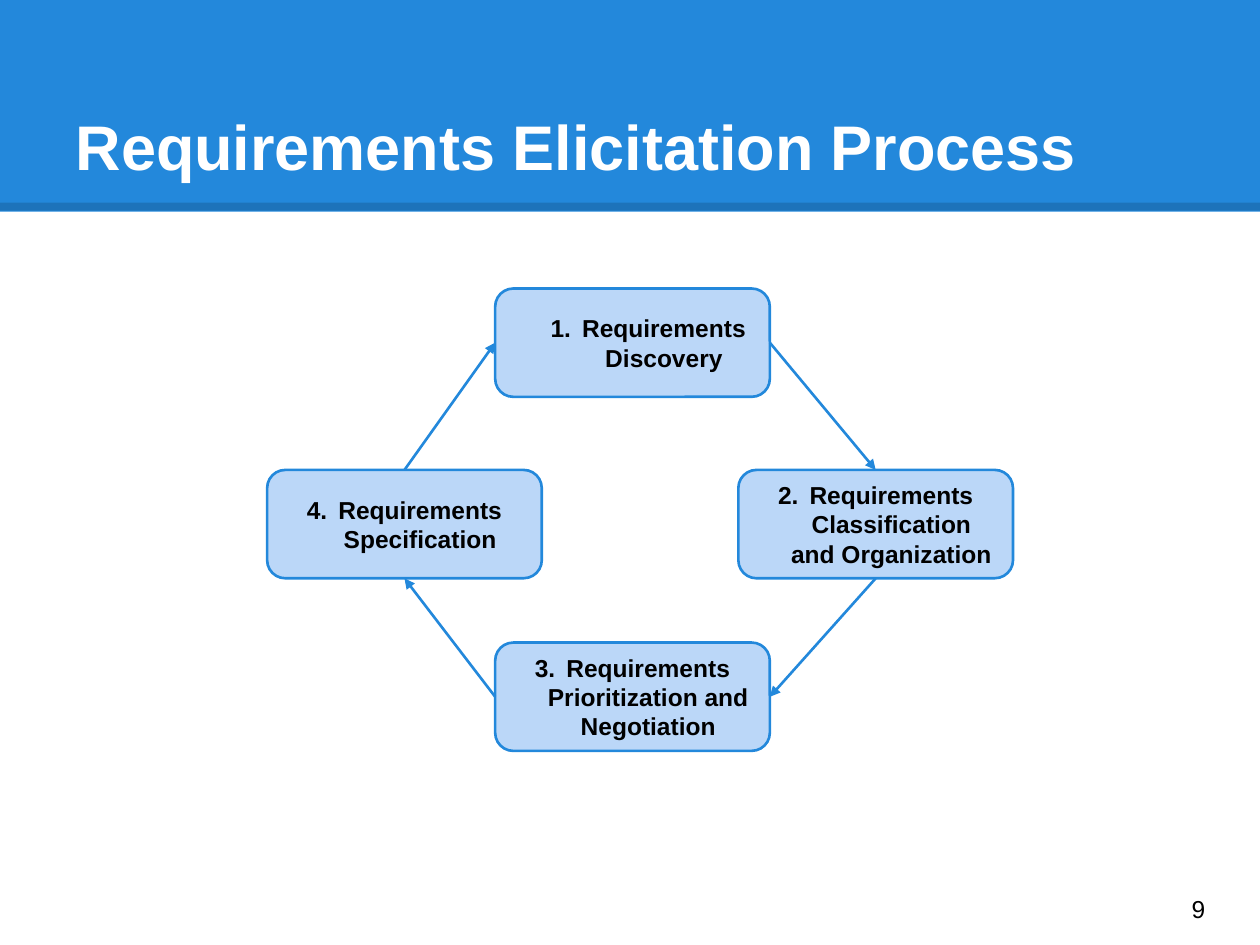
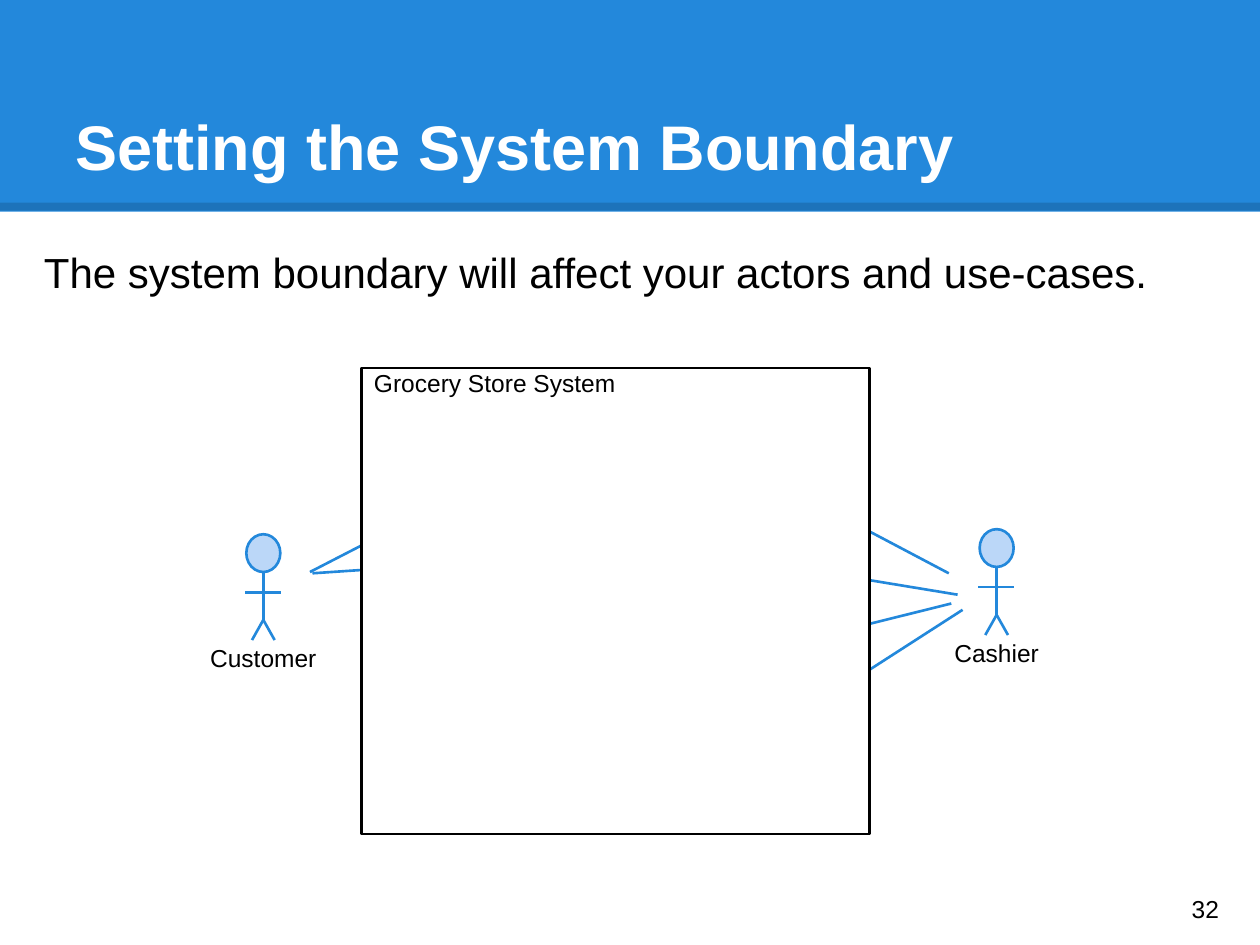
from dataclasses import dataclass

from lxml.etree import SubElement
from pptx import Presentation
from pptx.dml.color import RGBColor
from pptx.enum.shapes import MSO_CONNECTOR, MSO_SHAPE
from pptx.enum.text import MSO_ANCHOR, MSO_AUTO_SIZE, PP_ALIGN
from pptx.oxml.ns import qn
from pptx.util import Emu, Inches, Pt

COLORS = {
    "band": "2388DB",
    "accent": "2388DB",
    "pale": "BBD7F8",
    "ink": "000000",
    "paper": "FFFFFF",
}
FONT = "Arial"
LINE_WIDTH = 1.5
TITLE_ONLY = 5

SLIDE_WIDTH, SLIDE_HEIGHT = Inches(10), Inches(7.5)
COLUMNS, ROWS = 100, 75

TOP, LEFT, BOTTOM, RIGHT = range(4)  # connection sites of a rounded rectangle


@dataclass(frozen=True)
class Area:
    """A place on the slide, in grid columns and rows."""
    left: float
    top: float
    width: float
    height: float

    def lengths(self) -> tuple:
        return (column(self.left), row(self.top), column(self.width), row(self.height))


@dataclass(frozen=True)
class Step:
    text: str
    left: float
    top: float
    indent: float = 0.25


@dataclass(frozen=True)
class Link:
    """An arrow from a site of one step to a site of the next."""
    start: int
    start_site: int
    end: int
    end_site: int


@dataclass(frozen=True)
class Actor:
    name: str
    center: float
    top: float


@dataclass(frozen=True)
class Line:
    x1: float
    y1: float
    x2: float
    y2: float


BAND = Area(0, 0, COLUMNS, 16.8)
BAND_EDGE = Line(0, 16.4, COLUMNS, 16.4)
TITLE = Area(5, 3, 90, 12.5)
PAGE_NUMBER = Area(93.6, 69.3, 6, 5.7)

STEP_WIDTH, STEP_HEIGHT = 21.8, 8.6
STEPS = [
    Step("Requirements Discovery", 39.3, 22.9, indent=0.5),
    Step("Requirements Classification and Organization", 58.6, 37.3),
    Step("Requirements Prioritization and Negotiation", 39.3, 51),
    Step("Requirements Specification", 21.2, 37.3),
]
LINKS = [
    Link(0, RIGHT, 1, TOP),
    Link(1, BOTTOM, 2, RIGHT),
    Link(2, LEFT, 3, BOTTOM),
    Link(3, TOP, 0, LEFT),
]

STATEMENT = Area(2.5, 18.6, 97.5, 7.5)
BOUNDARY = Area(28.7, 29.2, 40.3, 37)
ACTORS = [Actor("Cashier", 79.1, 42), Actor("Customer", 20.9, 42.4)]
HEAD_WIDTH, HEAD_HEIGHT = 2.7, 3
LABEL_WIDTH, LABEL_HEIGHT = 12.4, 3
LIMBS = [  # relative to the centre and top of the head
    Line(0, 3, 0, 6.8),
    Line(0, 6.8, -0.9, 8.4),
    Line(0, 6.8, 0.9, 8.4),
    Line(-1.45, 4.6, 1.4, 4.6),
]
ASSOCIATIONS = [
    Line(24.6, 45.4, 41.1, 36.9),
    Line(24.8, 45.5, 41.1, 44.4),
    Line(75.3, 45.5, 59, 36.9),
    Line(76, 47.2, 59, 44.4),
    Line(75.5, 47.9, 59, 52),
    Line(76.4, 48.4, 59, 59.6),
]


def column(count: float) -> Emu:
    return Emu(round(SLIDE_WIDTH * count / COLUMNS))


def row(count: float) -> Emu:
    return Emu(round(SLIDE_HEIGHT * count / ROWS))


def color(name: str) -> RGBColor:
    return RGBColor.from_string(COLORS[name])


def write(shape, text: str, size: float = 14, ink: str = "ink", bold: bool = False,
          align=PP_ALIGN.LEFT, anchor=MSO_ANCHOR.TOP) -> None:
    frame = shape.text_frame
    frame.word_wrap = True
    frame.auto_size = MSO_AUTO_SIZE.NONE
    frame.vertical_anchor = anchor
    frame.margin_left = frame.margin_right = Inches(0.1)
    frame.margin_top = frame.margin_bottom = Inches(0.1)
    frame.text = text
    paragraph = frame.paragraphs[0]
    paragraph.alignment = align
    font = paragraph.runs[0].font
    font.name, font.size, font.bold = FONT, Pt(size), bold
    font.color.rgb = color(ink)


def add_text(slide, area: Area, text: str, **style) -> None:
    write(slide.shapes.add_textbox(*area.lengths()), text, **style)


def add_box(slide, kind, area: Area, fill: str, line: str | None = None):
    shape = slide.shapes.add_shape(kind, *area.lengths())
    shape.shadow.inherit = False
    shape.fill.solid()
    shape.fill.fore_color.rgb = color(fill)
    if line:
        shape.line.color.rgb = color(line)
        shape.line.width = Pt(LINE_WIDTH)
    else:
        shape.line.fill.background()
    return shape


def add_line(slide, line: Line, ink: str = "accent", width: float = LINE_WIDTH):
    connector = slide.shapes.add_connector(
        MSO_CONNECTOR.STRAIGHT,
        column(line.x1), row(line.y1), column(line.x2), row(line.y2))
    connector.line.color.rgb = color(ink)
    connector.line.width = Pt(width)
    SubElement(connector.element.spPr, qn("a:effectLst"))
    return connector


def prepare_layout(presentation):
    """Put the title band on the title-only layout, behind its title."""
    layout = presentation.slide_layouts[TITLE_ONLY]
    for placeholder in list(layout.placeholders):
        if placeholder.placeholder_format.idx:
            placeholder.element.getparent().remove(placeholder.element)
    return layout


def move_band_to_layout(slide, layout) -> None:
    band = add_box(slide, MSO_SHAPE.RECTANGLE, BAND, "band")
    edge = add_line(slide, BAND_EDGE, "ink", 4.5)
    edge_color = edge.element.spPr.find(".//" + qn("a:srgbClr"))
    SubElement(edge_color, qn("a:alpha"), val="15000")
    for position, shape in enumerate((band, edge), start=2):
        layout.shapes.element.insert(position, shape.element)


def add_slide(presentation, layout, title: str, number: int):
    slide = presentation.slides.add_slide(layout)
    heading = slide.shapes.title
    heading.left, heading.top, heading.width, heading.height = TITLE.lengths()
    write(heading, title, size=36, ink="paper", bold=True, anchor=MSO_ANCHOR.BOTTOM)
    add_text(slide, PAGE_NUMBER, str(number), anchor=MSO_ANCHOR.MIDDLE)
    return slide


def number_paragraph(paragraph, number: int, indent: float) -> None:
    properties = paragraph._p.get_or_add_pPr()
    properties.set("marL", str(Inches(indent)))
    properties.set("indent", str(-Inches(0.25)))
    SubElement(properties, qn("a:buFont"), typeface=FONT)
    SubElement(properties, qn("a:buAutoNum"), type="arabicPeriod", startAt=str(number))


def add_step(slide, step: Step, number: int):
    area = Area(step.left, step.top, STEP_WIDTH, STEP_HEIGHT)
    shape = add_box(slide, MSO_SHAPE.ROUNDED_RECTANGLE, area, "pale", "accent")
    write(shape, step.text, bold=True, align=PP_ALIGN.CENTER, anchor=MSO_ANCHOR.MIDDLE)
    number_paragraph(shape.text_frame.paragraphs[0], number, step.indent)
    return shape


def add_link(slide, shapes: list, link: Link) -> None:
    arrow = add_line(slide, Line(0, 0, 0, 0))
    arrow.begin_connect(shapes[link.start], link.start_site)
    arrow.end_connect(shapes[link.end], link.end_site)
    SubElement(arrow.line._get_or_add_ln(), qn("a:tailEnd"), type="triangle")


def add_actor(slide, actor: Actor) -> None:
    head = Area(actor.center - HEAD_WIDTH / 2, actor.top, HEAD_WIDTH, HEAD_HEIGHT)
    add_box(slide, MSO_SHAPE.OVAL, head, "pale", "accent")
    for limb in LIMBS:
        add_line(slide, Line(actor.center + limb.x1, actor.top + limb.y1,
                             actor.center + limb.x2, actor.top + limb.y2))
    label = Area(actor.center - LABEL_WIDTH / 2, actor.top + 7.65, LABEL_WIDTH, LABEL_HEIGHT)
    add_text(slide, label, actor.name, align=PP_ALIGN.CENTER)


def fill_process_slide(slide) -> None:
    shapes = [add_step(slide, step, number) for number, step in enumerate(STEPS, start=1)]
    for link in LINKS:
        add_link(slide, shapes, link)


def fill_boundary_slide(slide) -> None:
    """Draw the system last, so that it covers the inner ends of the associations."""
    add_text(slide, STATEMENT,
             "The system boundary will affect your actors and use-cases.", size=24)
    for actor in ACTORS:
        add_actor(slide, actor)
    for association in ASSOCIATIONS:
        add_line(slide, association)
    system = add_box(slide, MSO_SHAPE.RECTANGLE, BOUNDARY, "paper", "ink")
    write(system, "Grocery Store System")
    system.text_frame.margin_top = 0


def main() -> None:
    presentation = Presentation()
    presentation.slide_width, presentation.slide_height = SLIDE_WIDTH, SLIDE_HEIGHT
    layout = prepare_layout(presentation)
    process = add_slide(presentation, layout, "Requirements Elicitation Process", 9)
    move_band_to_layout(process, layout)
    fill_process_slide(process)
    boundary = add_slide(presentation, layout, "Setting the System Boundary", 32)
    fill_boundary_slide(boundary)
    presentation.save("out.pptx")


if __name__ == "__main__":
    main()
